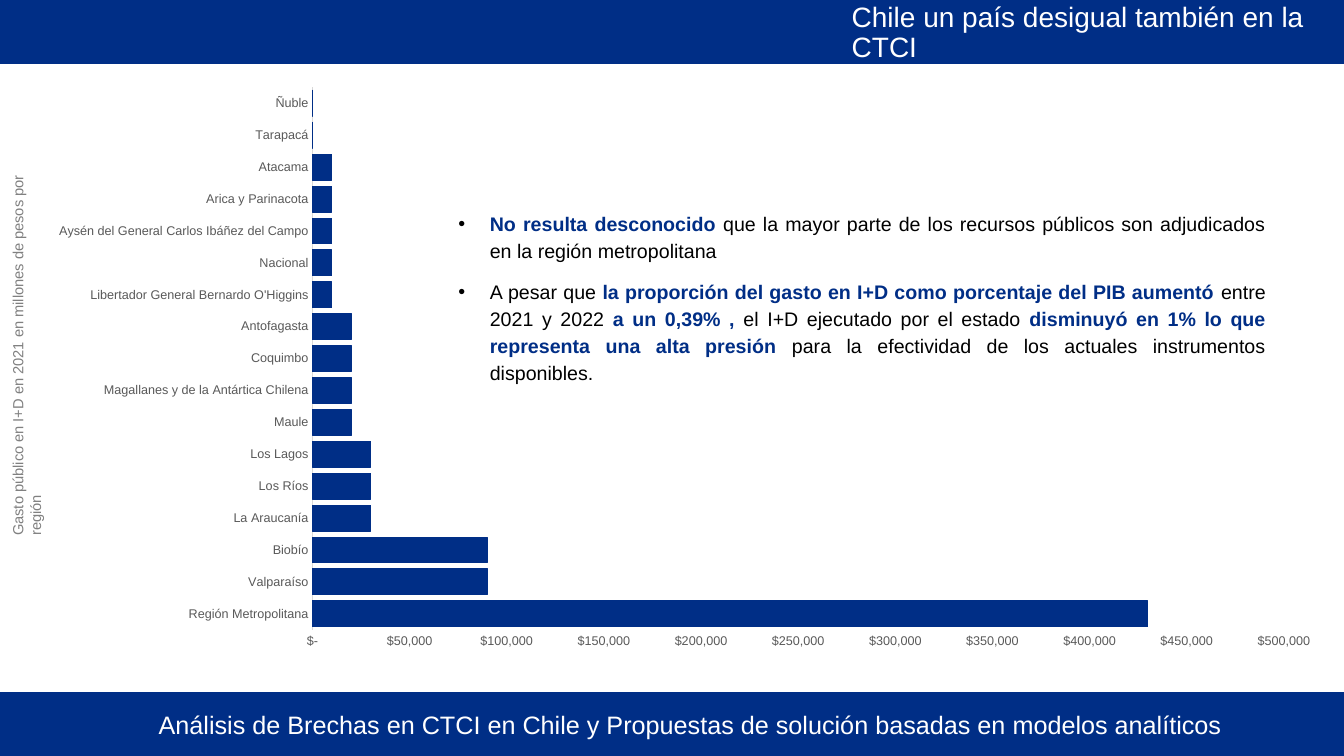
from lxml import etree
from pptx import Presentation, util as u
from pptx.chart.data import CategoryChartData
from pptx.dml.color import RGBColor
from pptx.enum import chart as charts, shapes, text
from pptx.oxml import ns

THEME = {
    "font": "Arial",
    "blue": RGBColor(0x00, 0x2E, 0x86),
    "white": RGBColor(0xFF, 0xFF, 0xFF),
    "black": RGBColor(0x00, 0x00, 0x00),
    "axis_text": RGBColor(0x59, 0x59, 0x59),
    "axis_line": RGBColor(0xD9, 0xD9, 0xD9),
    "caption": RGBColor(0x80, 0x80, 0x80),
    "title_size": 20, "footer_size": 18, "body_size": 14,
    "caption_size": 10.5, "axis_size": 9,
}


def style_font(font, size, color, bold=False):
    values = {"name": THEME["font"], "size": u.Pt(THEME[size]), "bold": bold}
    for name, value in values.items():
        setattr(font, name, value)
    font.color.rgb = THEME[color]


def add_text(box, runs_by_paragraph, size, frame_format, paragraph_format):
    shape = slide.shapes.add_textbox(*map(u.Pt, box))
    frame = shape.text_frame
    for name, value in {"word_wrap": True, **frame_format}.items():
        setattr(frame, name, value)
    for index, runs in enumerate(runs_by_paragraph):
        paragraph = frame.add_paragraph() if index else frame.paragraphs[0]
        for name, value in paragraph_format.items():
            setattr(paragraph, name, value)
        for words, color, bold in runs:
            run = paragraph.add_run()
            run.text = words
            style_font(run.font, size, color, bold)
    return shape


presentation = Presentation()
presentation.slide_width, presentation.slide_height = u.Pt(960), u.Pt(540)
slide = presentation.slides.add_slide(presentation.slide_layouts[6])

spending = {
    "Región Metropolitana": 430000,
    "Valparaíso": 90000,
    "Biobío": 90000,
    "La Araucanía": 30000,
    "Los Ríos": 30000,
    "Los Lagos": 30000,
    "Maule": 20000,
    "Magallanes y de la Antártica Chilena": 20000,
    "Coquimbo": 20000,
    "Antofagasta": 20000,
    "Libertador General Bernardo O'Higgins": 10000,
    "Nacional": 10000,
    "Aysén del General Carlos Ibáñez del Campo": 10000,
    "Arica y Parinacota": 10000,
    "Atacama": 10000,
    "Tarapacá": 0,
    "Ñuble": 0,
}
data = CategoryChartData()
data.categories = list(spending)
data.add_series("Series 1", list(spending.values()))
chart = slide.shapes.add_chart(
    charts.XL_CHART_TYPE.BAR_CLUSTERED, *map(u.Pt, (24.25, 53.75, 934, 417.5)), data
).chart
chart.has_legend = chart.has_title = False
style_font(chart.font, "axis_size", "axis_text")

plot = chart.plots[0]
plot.gap_width, plot.vary_by_categories = 23, False
bars = plot.series[0].format
bars.fill.solid()
bars.fill.fore_color.rgb = bars.line.color.rgb = THEME["blue"]
bars.line.width = u.Pt(0.75)

axis_format = {
    "has_major_gridlines": False,
    "major_tick_mark": charts.XL_TICK_MARK.NONE,
    "minor_tick_mark": charts.XL_TICK_MARK.NONE,
}
for axis in (chart.category_axis, chart.value_axis):
    for name, value in axis_format.items():
        setattr(axis, name, value)
    style_font(axis.tick_labels.font, "axis_size", "axis_text")
chart.category_axis.format.line.color.rgb = THEME["axis_line"]
chart.category_axis.format.line.width = u.Pt(0.75)
value_axis = chart.value_axis
value_axis.format.line.fill.background()
for name, value in {"minimum_scale": 0, "maximum_scale": 500000, "major_unit": 50000}.items():
    setattr(value_axis, name, value)
value_axis.tick_labels.number_format = '"$"#,##0;;"$-"'
value_axis.tick_labels.number_format_is_linked = False

plot_area = plot._element.getparent()
for old_layout in plot_area.findall(ns.qn("c:layout")):
    plot_area.remove(old_layout)
layout = etree.Element(ns.qn("c:layout"))
plot_area.insert(0, layout)
manual = etree.SubElement(layout, ns.qn("c:manualLayout"))
plot_layout = {"layoutTarget": "inner", "xMode": "edge", "yMode": "edge",
               "x": 0.213, "y": 0.021, "w": 0.743, "h": 0.928}
for name, value in plot_layout.items():
    etree.SubElement(manual, ns.qn("c:" + name)).set("val", str(value))

findings = [
    [("No resulta desconocido ", "blue", True),
     ("que la mayor parte de los recursos públicos son adjudicados en la región metropolitana ",
      "black", False)],
    [("A pesar que ", "black", False),
     ("la proporción del gasto en I+D como porcentaje del PIB aumentó ", "blue", True),
     ("entre 2021 y 2022 ", "black", False),
     ("a un 0,39% , ", "blue", True),
     ("el I+D ejecutado por el estado ", "black", False),
     ("disminuyó en 1% lo que representa una alta presión ", "blue", True),
     ("para la efectividad de los actuales instrumentos disponibles.", "black", False)],
]
body = add_text((320.25, 145.5, 591, 169), findings, "body_size", {},
                {"alignment": text.PP_ALIGN.JUSTIFY, "line_spacing": 1.15,
                 "space_before": u.Pt(10)})
for paragraph in body.text_frame.paragraphs:
    properties = paragraph._p.get_or_add_pPr()
    properties.set("marL", str(u.Pt(22.5)))
    properties.set("indent", str(u.Pt(-22.5)))
    bullet_color = etree.SubElement(properties, ns.qn("a:buClr"))
    etree.SubElement(bullet_color, ns.qn("a:srgbClr")).set("val", str(THEME["black"]))
    etree.SubElement(properties, ns.qn("a:buFont")).set("typeface", THEME["font"])
    etree.SubElement(properties, ns.qn("a:buChar")).set("char", "•")

band_height = 45.25
for top in (0, 540 - band_height):
    band = slide.shapes.add_shape(
        shapes.MSO_SHAPE.RECTANGLE, *map(u.Pt, (0, top, 960, band_height)))
    band.shadow.inherit = False
    band.fill.solid()
    band.fill.fore_color.rgb = band.line.color.rgb = THEME["blue"]
    band.line.width = u.Pt(1.5)

add_text((601.25, 1.5, 353, band_height),
         [[("Chile un país desigual también en la CTCI", "white", False)]],
         "title_size", {"vertical_anchor": text.MSO_ANCHOR.MIDDLE}, {"line_spacing": 0.9})
add_text((56, 502.75, 874, 29),
         [[("Análisis de Brechas en CTCI en Chile y Propuestas de solución basadas en modelos analíticos",
            "white", False)]],
         "footer_size", {}, {"alignment": text.PP_ALIGN.CENTER})
caption = add_text((-126.5, 240.5, 278.5, 20),
                   [[("Gasto público en I+D en 2021 en millones de pesos por región", "caption", False)]],
                   "caption_size", {}, {})
caption.rotation = 270

presentation.save("out.pptx")
